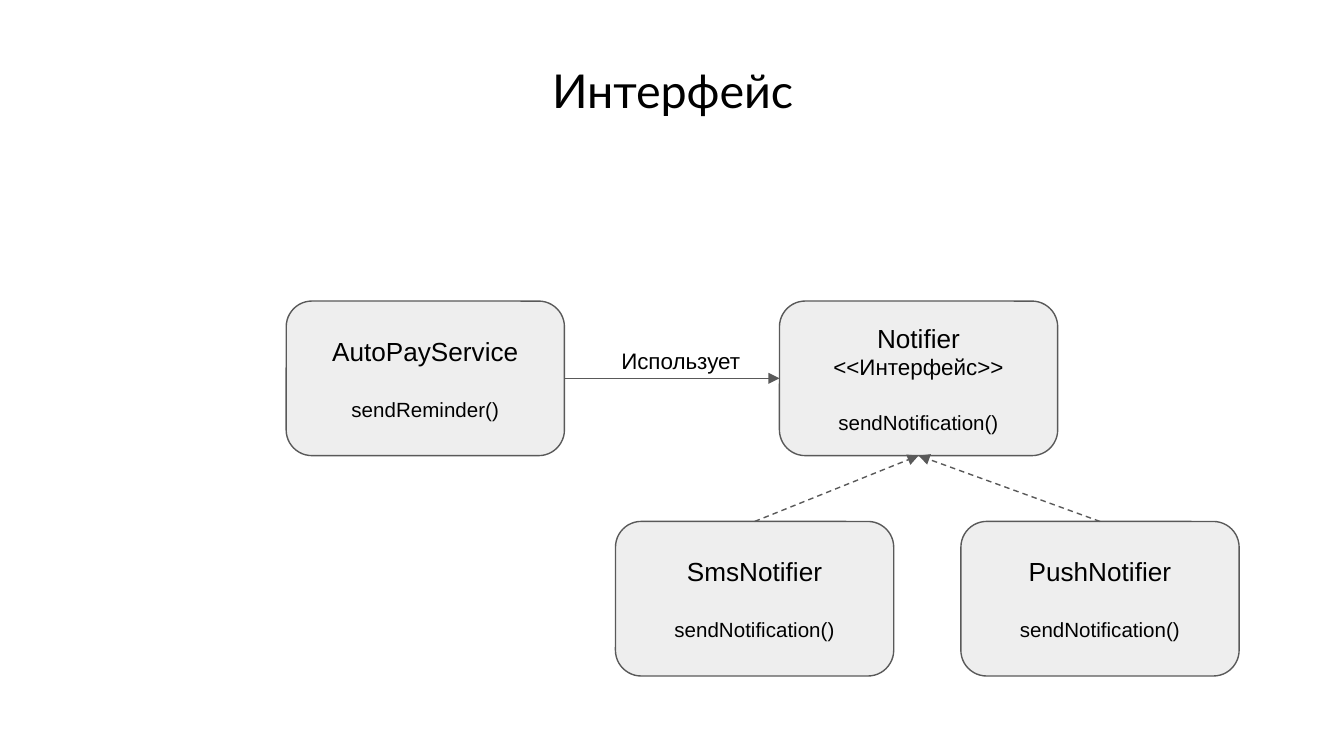
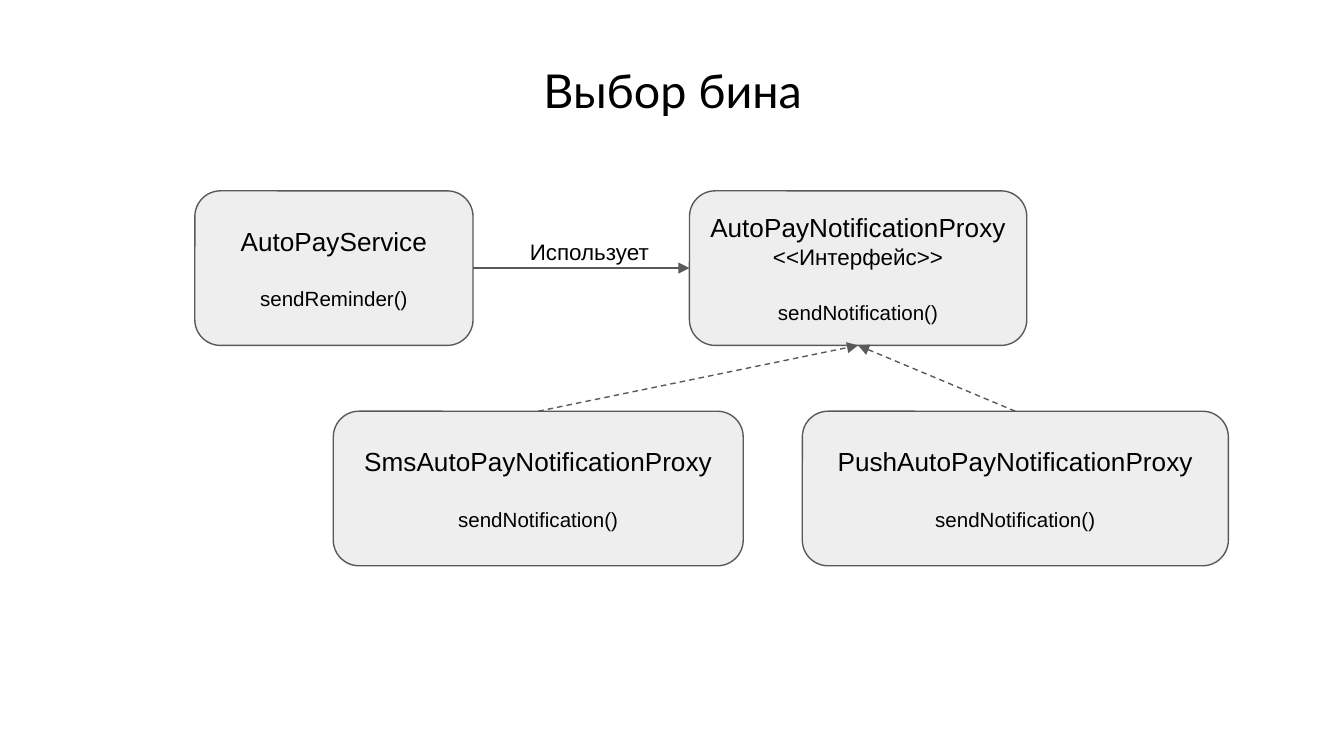
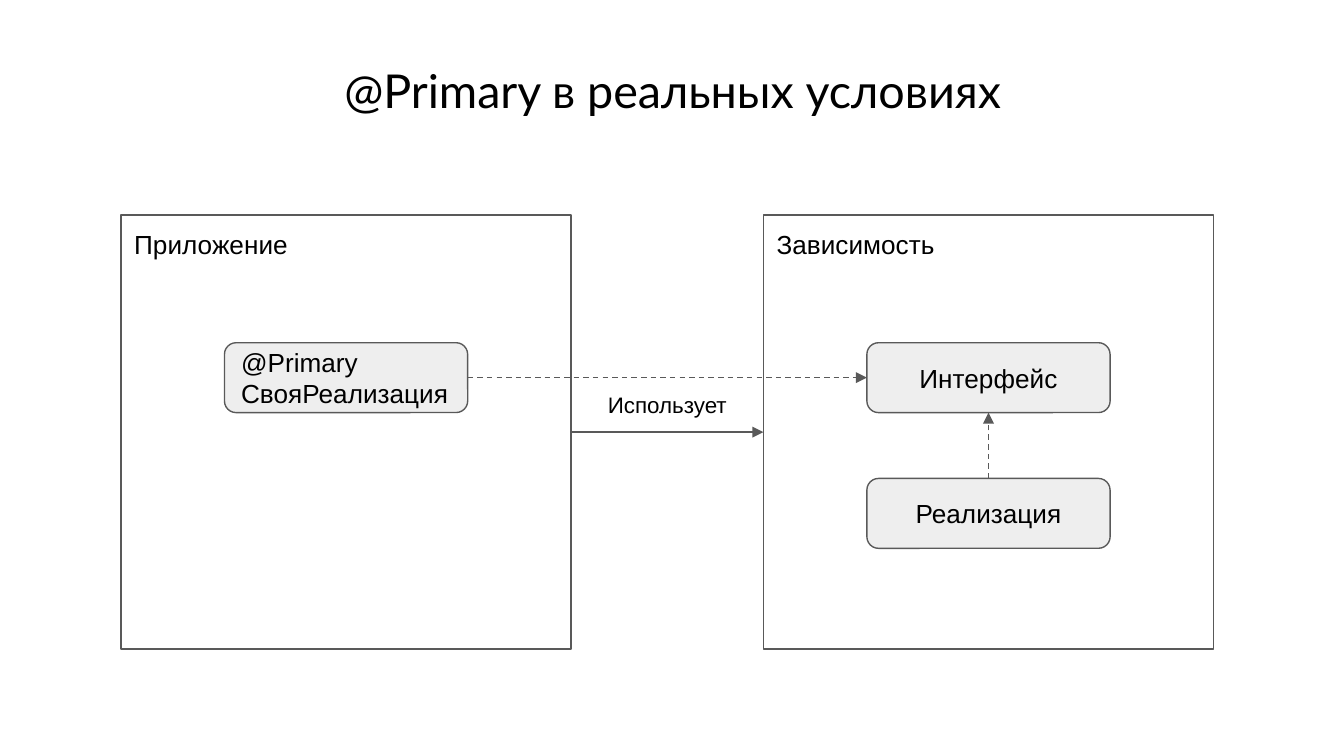
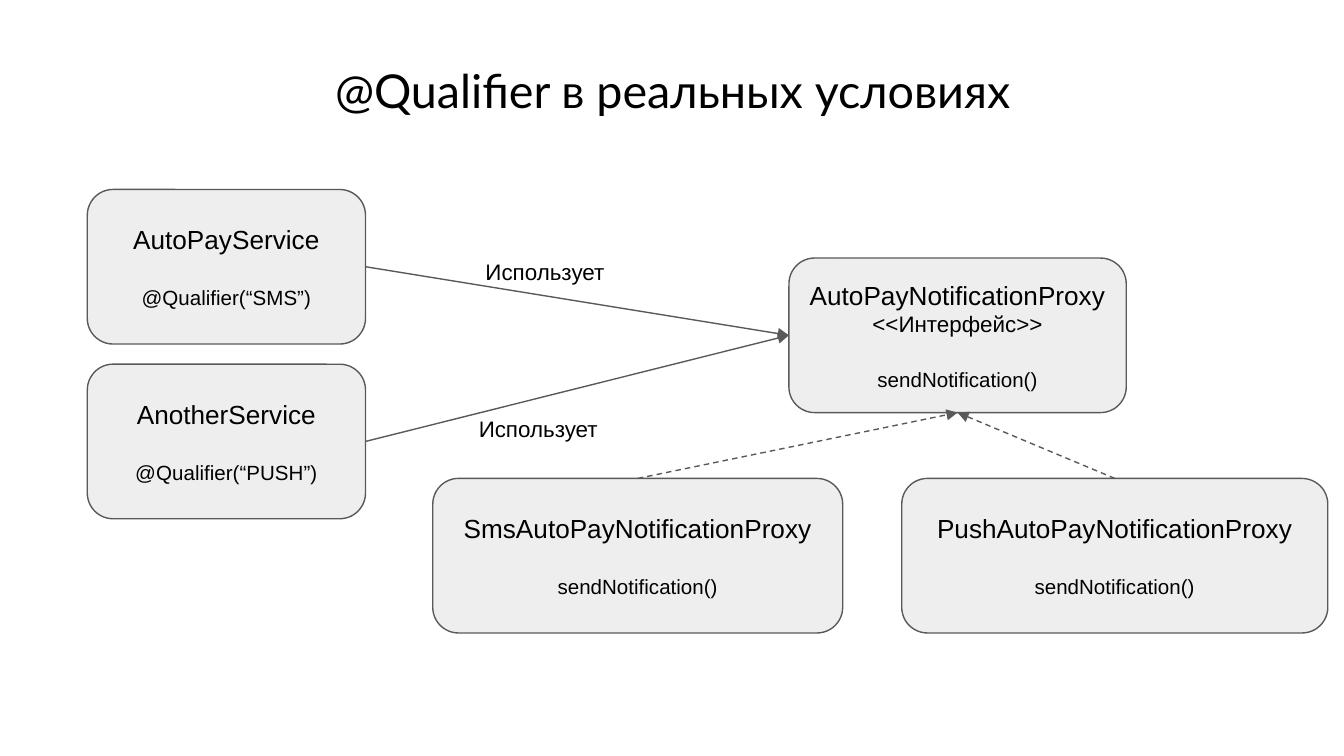
import lxml.etree
import pptx
import pptx.dml.color
import pptx.enum.dml
import pptx.enum.shapes
import pptx.enum.text
import pptx.oxml.ns
import pptx.util

SHAPES = pptx.enum.shapes.MSO_SHAPE
ALIGN = pptx.enum.text.PP_ALIGN
ANCHOR = pptx.enum.text.MSO_ANCHOR
AUTO_SIZE = pptx.enum.text.MSO_AUTO_SIZE
TOP, LEFT, BOTTOM, RIGHT = range(4)

COLUMNS, ROWS = 100, 56.25
CARD_WIDTH, CARD_HEIGHT = 20.7, 11.5
PROXY_WIDTH, SMS_WIDTH, PUSH_WIDTH = 25.1, 30.5, 31.7
LEVEL_STEP = 16.4
LABEL_SIZE = (14.9, 4)
SEND = "sendNotification()"


def colour(value):
    """Turn a hex string into a colour."""
    return pptx.dml.color.RGBColor.from_string(value)


def set_values(target, values):
    """Set each attribute named in the dict of values."""
    for name, value in values.items():
        setattr(target, name, value)


class Deck:
    """Holds the shared style and the slide being drawn."""

    INK, LINE, CARD, PAPER = "000000", "595959", "EEEEEE", "FFFFFF"
    TITLE_FONT, BODY_FONT = "Lato", "Arial"
    TITLE_SIZE, NAME_SIZE, NOTE_SIZE, DETAIL_SIZE = 25, 14, 12, 11
    DETAIL_GAP = 16
    INSET = pptx.util.Inches(0.1)

    def __init__(self):
        """Start a presentation with a square grid over each slide."""
        self.presentation = pptx.Presentation()
        set_values(self.presentation, {
            "slide_width": pptx.util.Inches(10),
            "slide_height": pptx.util.Inches(5.625),
        })
        self.slide = None

    def place(self, left, top, width, height):
        """Convert columns and rows to slide lengths."""
        column = self.presentation.slide_width / COLUMNS
        row = self.presentation.slide_height / ROWS
        return [round(length * unit) for length, unit in
                zip((left, top, width, height), (column, row, column, row))]

    def new_slide(self, title):
        """Add a slide with its centred title."""
        self.slide = self.presentation.slides.add_slide(self.presentation.slide_layouts[6])
        fill = self.slide.background.fill
        fill.solid()
        fill.fore_color.rgb = colour(self.PAPER)
        box = self.slide.shapes.add_textbox(*self.place(7.8, 4.5, 84.5, 4.4))
        self.add_text(box, [[(title, self.TITLE_SIZE)]], font=self.TITLE_FONT)

    def add_text(self, shape, paragraphs, font=BODY_FONT, align=ALIGN.CENTER, **frame_values):
        """Fill a shape with paragraphs, each a list of (text, size) lines."""
        frame = shape.text_frame
        set_values(frame, {
            "word_wrap": True, "vertical_anchor": ANCHOR.MIDDLE,
            "margin_left": self.INSET, "margin_right": self.INSET,
            "margin_top": self.INSET, "margin_bottom": self.INSET,
            **frame_values,
        })
        for index, lines in enumerate(paragraphs):
            paragraph = frame.add_paragraph() if index else frame.paragraphs[0]
            set_values(paragraph, {
                "alignment": align,
                "space_before": pptx.util.Pt(self.DETAIL_GAP if index else 0),
            })
            for number, (text, size) in enumerate(lines):
                if number:
                    paragraph.add_line_break()
                    lxml.etree.SubElement(paragraph._p[-1], pptx.oxml.ns.qn("a:rPr"),
                                          sz=str(lines[number - 1][1] * 100))
                run = paragraph.add_run()
                run.text = text
                set_values(run.font, {"name": font, "size": pptx.util.Pt(size)})
                run.font.color.rgb = colour(self.INK)

    def outline(self, line):
        """Give a line the shared colour and width."""
        line.color.rgb = colour(self.LINE)
        line.width = pptx.util.Pt(0.75)

    def block(self, kind, fill, box, paragraphs, **text_values):
        """Draw a filled and outlined shape with text."""
        shape = self.slide.shapes.add_shape(kind, *self.place(*box))
        shape.shadow.inherit = False
        shape.fill.solid()
        shape.fill.fore_color.rgb = colour(fill)
        self.outline(shape.line)
        self.add_text(shape, paragraphs, **text_values)
        return shape

    def card(self, left, top, lines, detail=None, width=CARD_WIDTH, height=CARD_HEIGHT, **text_values):
        """Draw a rounded card with a name and an optional detail."""
        paragraphs = [lines] + ([[(detail, self.DETAIL_SIZE)]] if detail else [])
        return self.block(SHAPES.ROUNDED_RECTANGLE, self.CARD, (left, top, width, height),
                          paragraphs, **text_values)

    def named_card(self, left, top, name, detail=None, **card_values):
        """Draw a card whose name is a single line."""
        return self.card(left, top, [(name, self.NAME_SIZE)], detail, **card_values)

    def container(self, left, top, name):
        """Draw a square-cornered module with its name at the top left."""
        return self.block(SHAPES.RECTANGLE, self.PAPER, (left, top, 33.5, 32.3),
                          [[(name, self.NAME_SIZE)]], align=ALIGN.LEFT, vertical_anchor=ANCHOR.TOP)

    def label(self, left, top):
        """Add the caption of a use arrow."""
        box = self.slide.shapes.add_textbox(*self.place(left, top, *LABEL_SIZE))
        self.add_text(box, [[("Использует", self.NOTE_SIZE)]],
                      vertical_anchor=ANCHOR.TOP, auto_size=AUTO_SIZE.SHAPE_TO_FIT_TEXT)

    def arrow(self, start, start_side, end, end_side, dashed=False):
        """Join two shapes with an arrow."""
        connector = self.slide.shapes.add_connector(
            pptx.enum.shapes.MSO_CONNECTOR.STRAIGHT, 0, 0, 0, 0)
        connector.begin_connect(start, start_side)
        connector.end_connect(end, end_side)
        self.outline(connector.line)
        if dashed:
            connector.line.dash_style = pptx.enum.dml.MSO_LINE.DASH
        qn = pptx.oxml.ns.qn
        properties = connector._element.spPr
        lxml.etree.SubElement(properties.find(qn("a:ln")), qn("a:tailEnd"), type="triangle")
        lxml.etree.SubElement(properties, qn("a:effectLst"))

    def use(self, user, used, label_left, label_top):
        """Draw a captioned use arrow from left to right."""
        self.arrow(user, RIGHT, used, LEFT)
        self.label(label_left, label_top)

    def interface_tree(self, left, top, name, width, implementations):
        """Draw an interface card above the cards that implement it."""
        interface = self.card(left, top, [(name, self.NAME_SIZE), ("<<Интерфейс>>", self.NOTE_SIZE)],
                              SEND, width=width)
        for offset, prefix, card_width in implementations:
            implementation = self.named_card(left + offset, top + LEVEL_STEP, prefix + name, SEND,
                                             width=card_width)
            self.arrow(implementation, TOP, interface, BOTTOM, dashed=True)
        return interface

    def proxy_tree(self, left, top):
        """Draw the notification proxy with its two implementations."""
        return self.interface_tree(left, top, "AutoPayNotificationProxy", PROXY_WIDTH,
                                   [(-26.5, "Sms", SMS_WIDTH), (8.4, "Push", PUSH_WIDTH)])


def draw_interface(deck):
    """Draw the notifier interface slide."""
    deck.new_slide("Интерфейс")
    service = deck.named_card(21.3, 22.4, "AutoPayService", "sendReminder()")
    notifier = deck.interface_tree(58, 22.4, "Notifier", CARD_WIDTH,
                                   [(-12.2, "Sms", CARD_WIDTH), (13.5, "Push", CARD_WIDTH)])
    deck.use(service, notifier, 43.2, 24.8)


def draw_bean_choice(deck):
    """Draw the bean choice slide."""
    deck.new_slide("Выбор бина")
    service = deck.named_card(14.5, 14.2, "AutoPayService", "sendReminder()")
    proxy = deck.proxy_tree(51.3, 14.2)
    deck.use(service, proxy, 36.4, 16.7)


def draw_primary(deck):
    """Draw the primary bean slide."""
    deck.new_slide("@Primary в реальных условиях")
    application = deck.container(9, 16, "Приложение")
    dependency = deck.container(56.8, 16, "Зависимость")
    deck.use(application, dependency, 42.2, 28.1)
    size = {"width": 18.1, "height": 5.2}
    interface = deck.named_card(64.5, 25.5, "Интерфейс", **size)
    implementation = deck.named_card(64.5, 35.6, "Реализация", **size)
    deck.arrow(implementation, TOP, interface, BOTTOM, dashed=True)
    own = deck.card(16.7, 25.5, [(text, deck.NAME_SIZE) for text in ("@Primary", "СвояРеализация")],
                    align=ALIGN.LEFT, **size)
    deck.arrow(own, RIGHT, interface, LEFT, dashed=True)


def draw_qualifier(deck):
    """Draw the qualifier slide."""
    deck.new_slide("@Qualifier в реальных условиях")
    proxy = deck.proxy_tree(58.7, 19.2)
    services = [
        (14.1, "AutoPayService", "SMS", 33.1, 18.2),
        (27.1, "AnotherService", "PUSH", 32.6, 29.9),
    ]
    for top, name, qualifier, label_left, label_top in services:
        service = deck.named_card(6.5, top, name, f"@Qualifier(“{qualifier}”)")
        deck.use(service, proxy, label_left, label_top)


def main():
    """Build and save the presentation."""
    deck = Deck()
    for draw in (draw_interface, draw_bean_choice, draw_primary, draw_qualifier):
        draw(deck)
    deck.presentation.save("out.pptx")


if __name__ == "__main__":
    main()
